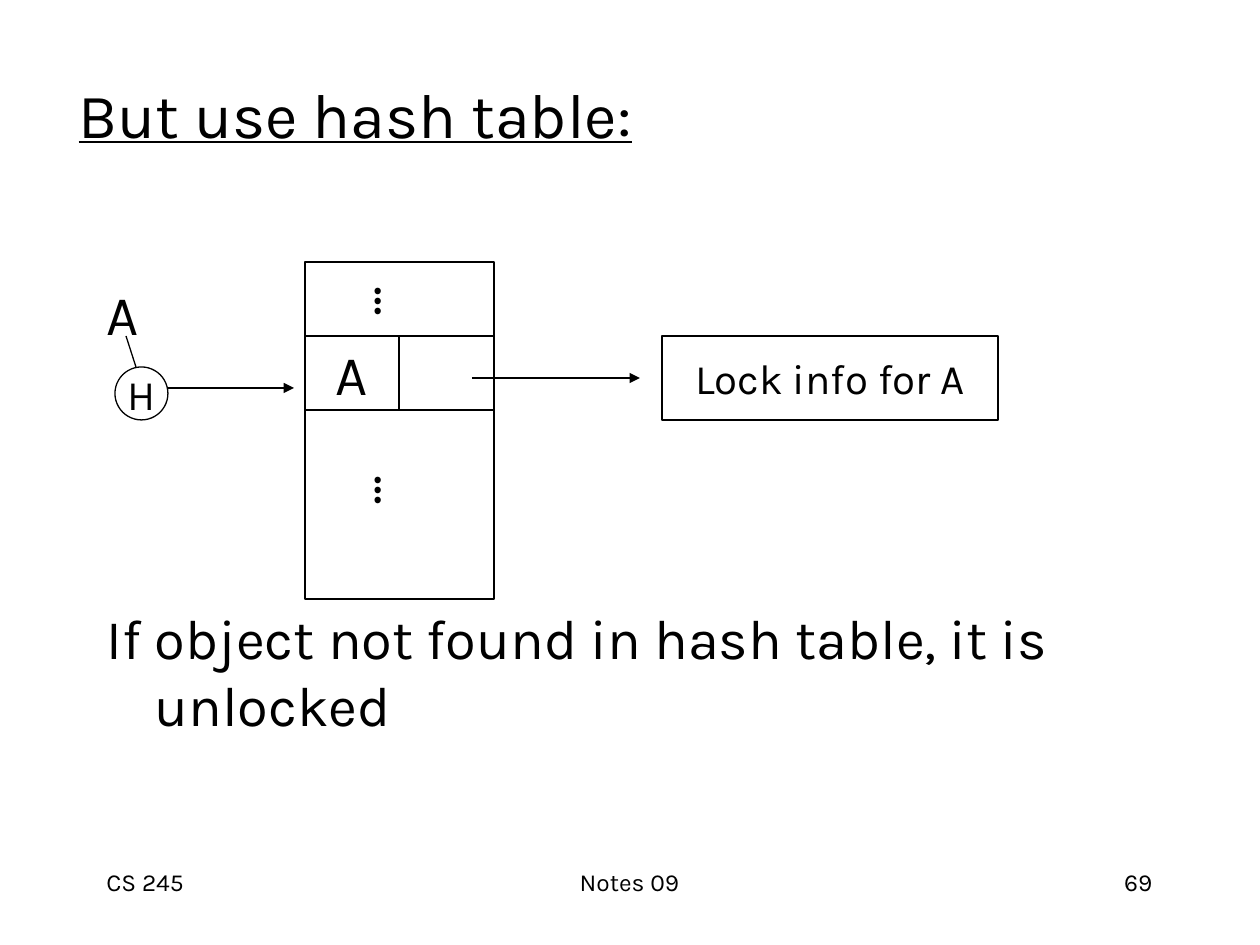
from lxml import etree
from pptx import Presentation
from pptx import util as u
from pptx.dml.color import RGBColor
from pptx.enum import shapes, text
from pptx.oxml import ns

FONT = "Karla"
BLACK = "000000"
WHITE = "FFFFFF"
LEFT, MID, RIGHT = text.PP_ALIGN.LEFT, text.PP_ALIGN.CENTER, text.PP_ALIGN.RIGHT
TOP, CENTER = text.MSO_ANCHOR.TOP, text.MSO_ANCHOR.MIDDLE
RECT, OVAL = shapes.MSO_SHAPE.RECTANGLE, shapes.MSO_SHAPE.OVAL


def px(n):
    return u.Emu(round(n * 914400 / 126))


def color(code):
    return RGBColor.from_string(code)


def child(node, tag, **attrs):
    return etree.SubElement(node, ns.qn(tag), attrs)


def style(para, size, align=LEFT):
    para.alignment = align
    para.font.name = FONT
    para.font.size = u.Pt(size)
    para.font.color.rgb = color(BLACK)


def write(shape, words, size, align=LEFT, anchor=TOP, wrap=True):
    frame = shape.text_frame
    frame.text = words
    frame.word_wrap = wrap
    frame.auto_size = text.MSO_AUTO_SIZE.NONE
    frame.vertical_anchor = anchor
    style(frame.paragraphs[0], size, align)


def place(shape, box):
    shape.left, shape.top, shape.width, shape.height = map(px, box)


def title(slide, words, box):
    shape = slide.shapes.title
    place(shape, box)
    write(shape, words, 36, anchor=CENTER)
    shape.text_frame.paragraphs[0].font.underline = True


def body(slide, items, box):
    shape = slide.placeholders[1]
    place(shape, box)
    frame = shape.text_frame
    frame.text = "\n".join(words for words, gap in items)
    frame.auto_size = text.MSO_AUTO_SIZE.NONE
    for para, (words, gap) in zip(frame.paragraphs, items):
        props = para._p.get_or_add_pPr()
        props.set("marL", str(px(48)))
        props.set("indent", str(-px(48)))
        child(props, "a:buNone")
        para.space_before = u.Pt(gap)
        style(para, 32)


def label(slide, words, box, size, align, anchor=TOP, turn=0):
    shape = slide.shapes.add_textbox(*map(px, box))
    shape.rotation = turn
    write(shape, words, size, align, anchor)


def node(slide, box, words="", size=24, kind=RECT):
    shape = slide.shapes.add_shape(kind, *map(px, box))
    shape.shadow.inherit = False
    shape.fill.solid()
    shape.fill.fore_color.rgb = color(WHITE)
    shape.line.color.rgb = color(BLACK)
    shape.line.width = u.Pt(0.75)
    if words:
        write(shape, words, size, MID, CENTER, False)


def link(slide, ends, arrow=True):
    line = slide.shapes.add_connector(shapes.MSO_CONNECTOR.STRAIGHT, *map(px, ends))
    line.line.color.rgb = color(BLACK)
    line.line.width = u.Pt(0.75)
    if arrow:
        child(line.line._get_or_add_ln(), "a:tailEnd", type="triangle")
    child(line._element.spPr, "a:effectLst")


def main():
    deck = Presentation()
    deck.slide_width, deck.slide_height = px(1260), px(945)
    slide = deck.slides.add_slide(deck.slide_layouts[1])

    title(slide, "But use hash table:", (66, 47, 1071, 132))
    rows = [("A", 0), ("If object not found in hash table, it is unlocked", 147)]
    body(slide, rows, (94, 273, 1071, 567))

    node(slide, (662, 336, 336, 84), "Lock info for A")
    node(slide, (305, 262, 189, 74))
    node(slide, (305, 336, 94, 74), "A", 32)
    node(slide, (399, 336, 95, 74))
    node(slide, (305, 410, 189, 189))
    for top in (261, 450):
        label(slide, "...", (359, top, 77, 81), 32, MID, CENTER, 90)
    node(slide, (115, 367, 53, 53), "H", kind=OVAL)

    link(slide, (126, 336, 136, 367), arrow=False)
    link(slide, (168, 388, 294, 388))
    link(slide, (472, 378, 640, 378))

    for words, left, width, align in (
        ("Notes 09", 430, 399, MID),
        ("69", 903, 262, RIGHT),
        ("CS 245", 94, 262, LEFT),
    ):
        label(slide, words, (left, 861, width, 63), 14, align)

    deck.save("out.pptx")


if __name__ == "__main__":
    main()
